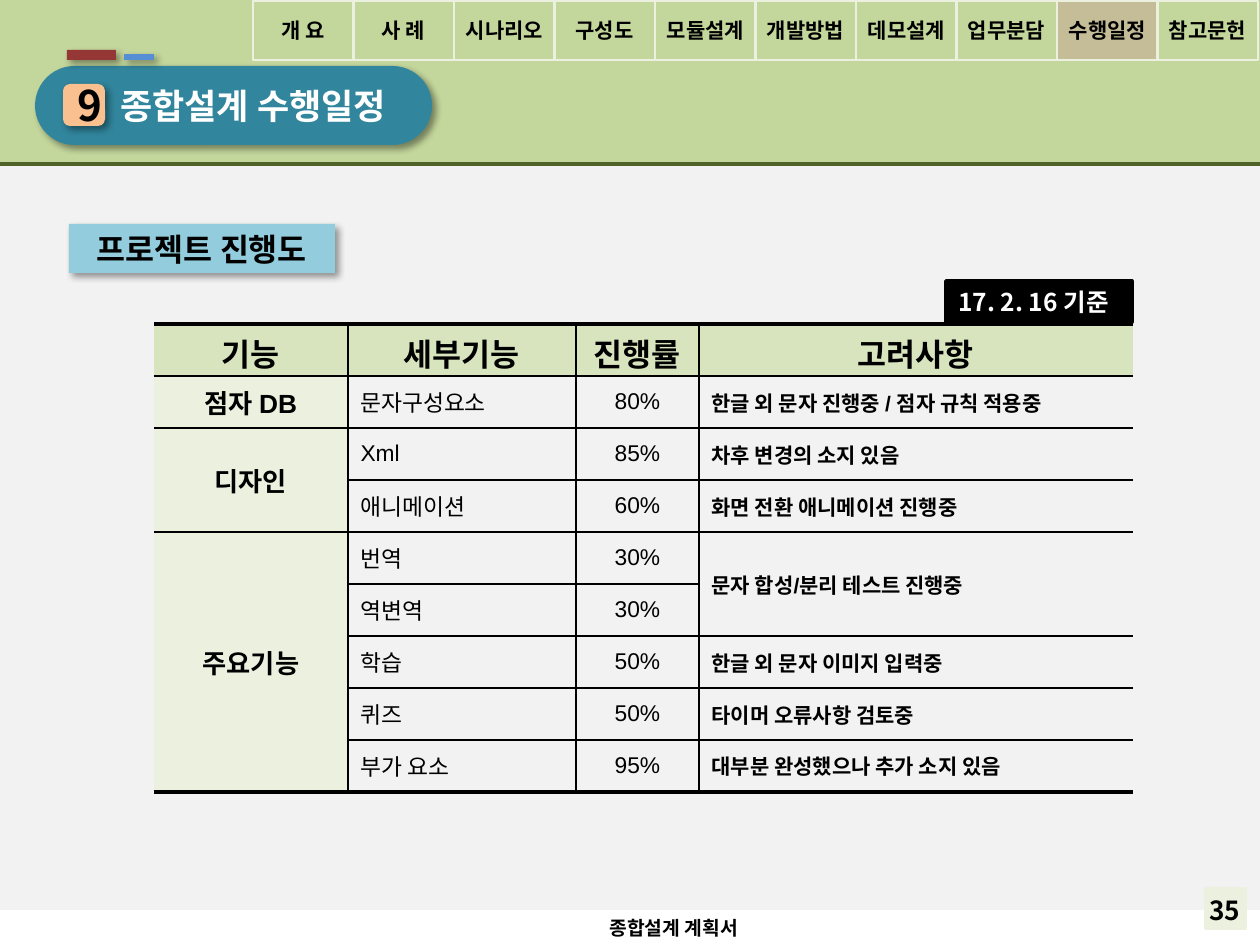
"""Builds the project schedule slide with its progress table."""
from lxml import etree
from pptx import Presentation, util as u
from pptx.dml import color
from pptx.enum import shapes, text
from pptx.oxml import ns

COLORS = {
    "black": "000000", "white": "FFFFFF", "panel": "F2F2F2", "pale": "EBF1DE",
    "green": "C3D69B", "dark_green": "4F6228", "head": "D7E4BD", "sky": "93CDDD",
    "tan": "C4BD97", "teal": "31859C", "peach": "FAC090", "red": "953735", "blue": "558ED5",
}
NOTO, ARIAL = "Noto Sans CJK KR", "Arial"
LEFT, CENTER = text.PP_ALIGN.LEFT, text.PP_ALIGN.CENTER
MIDDLE, TOP = text.MSO_ANCHOR.MIDDLE, text.MSO_ANCHOR.TOP
RECT, ROUND = shapes.MSO_SHAPE.RECTANGLE, shapes.MSO_SHAPE.ROUNDED_RECTANGLE

TABS = ["개 요", "사 례", "시나리오", "구성도", "모듈설계", "개발방법", "데모설계",
        "업무분담", "수행일정", "참고문헌"]
ROWS = [
    ["기능", "세부기능", "진행률", "고려사항"],
    ["점자 DB", "문자구성요소", "80%", "한글 외 문자 진행중 / 점자 규칙 적용중"],
    ["디자인", "Xml", "85%", "차후 변경의 소지 있음"],
    [None, "애니메이션", "60%", "화면 전환 애니메이션 진행중"],
    ["주요기능", "번역", "30%", "문자 합성/분리 테스트 진행중"],
    [None, "역변역", "30%", None],
    [None, "학습", "50%", "한글 외 문자 이미지 입력중"],
    [None, "퀴즈", "50%", "타이머 오류사항 검토중"],
    [None, "부가 요소", "95%", "대부분 완성했으나 추가 소지 있음"],
]
MERGES = [((2, 0), (3, 0)), ((4, 0), (8, 0)), ((4, 3), (5, 3))]
HEAD_STYLE = {"size": 18, "bold": True, "align": CENTER, "fill": "head"}
COL_STYLES = [
    {"size": 15, "bold": True, "align": CENTER, "fill": "pale"},
    {"size": 13, "bold": False, "align": LEFT, "fill": None},
    {"size": 13, "bold": False, "align": CENTER, "fill": None},
    {"size": 12, "bold": True, "align": LEFT, "fill": None},
]


def px(n):
    return u.Emu(round(n * 914400 / 126))


def rgb(name):
    return color.RGBColor.from_string(COLORS[name])


def add(parent, tag, **attrs):
    return etree.SubElement(parent, ns.qn(tag), {k: str(v) for k, v in attrs.items()})


class Deck:
    """Holds the presentation, its text style and the current slide."""

    def __init__(self, width, height):
        self.prs = Presentation()
        self.prs.slide_width, self.prs.slide_height = px(width), px(height)
        self.s = self.prs.slides.add_slide(self.prs.slide_layouts[6])

    def paint(self, fill, name):
        if name:
            fill.solid()
            fill.fore_color.rgb = rgb(name)
        else:
            fill.background()

    def put_words(self, tf, words, size, ink="black", font=NOTO, bold=True, align=LEFT):
        p = tf.paragraphs[0]
        p.alignment = align
        r = p.add_run()
        r.text = words
        for key, value in {"size": u.Pt(size), "bold": bold, "name": font}.items():
            setattr(r.font, key, value)
        r.font.color.rgb = rgb(ink)
        if font == NOTO:
            add(r._r.get_or_add_rPr(), "a:ea", typeface=font)

    def box(self, x, y, w, h, fill=None, line=None, kind=RECT, shadow=False, adj=None):
        sp = self.s.shapes.add_shape(kind, px(x), px(y), px(w), px(h))
        self.paint(sp.fill, fill)
        self.paint(sp.line.fill, line and line[0])
        if line:
            sp.line.width = u.Pt(line[1])
        if adj:
            sp.adjustments[0] = adj
        sp.shadow.inherit = False
        if shadow:
            effects = sp._element.spPr.find(ns.qn("a:effectLst"))
            shade = add(effects, "a:outerShdw", blurRad=u.Pt(4), dist=u.Pt(3),
                        dir=45 * 60000, algn="tl", rotWithShape=0)
            add(add(shade, "a:srgbClr", val=COLORS["black"]), "a:alpha", val=40000)
        return sp

    def label(self, sp, words, size, frame=None, **style):
        layout = {"vertical_anchor": MIDDLE, "word_wrap": True, **(frame or {})}
        for key, value in layout.items():
            setattr(sp.text_frame, key, value)
        self.put_words(sp.text_frame, words, size, **{"align": CENTER, **style})

    def text(self, x, y, w, h, words, size, **style):
        sp = self.s.shapes.add_textbox(px(x), px(y), px(w), px(h))
        self.label(sp, words, size, {"vertical_anchor": TOP, "word_wrap": False},
                   align=LEFT, **style)

    def rule(self, x1, y1, x2, y2, ink, width):
        line = self.s.shapes.add_connector(
            shapes.MSO_CONNECTOR.STRAIGHT, px(x1), px(y1), px(x2), px(y2))
        line.line.color.rgb = rgb(ink)
        line.line.width = u.Pt(width)
        add(line._element.spPr, "a:effectLst")

    def borders(self, cell, widths):
        tcPr = cell._tc.get_or_add_tcPr()
        for i, (side, width) in enumerate(widths.items()):
            ln = etree.Element(ns.qn(f"a:ln{side}"), {"w": str(u.Pt(width))})
            if width:
                add(add(ln, "a:solidFill"), "a:srgbClr", val=COLORS["black"])
            else:
                add(ln, "a:noFill")
            tcPr.insert(i, ln)

    def table(self, x, y, widths, row_height, rows, merges):
        n, m = len(rows), len(widths)
        tbl = self.s.shapes.add_table(
            n, m, px(x), px(y), px(sum(widths)), px(row_height * n)).table
        tbl.first_row = tbl.horz_banding = False
        for col, width in zip(tbl.columns, widths):
            col.width = px(width)
        for row in tbl.rows:
            row.height = px(row_height)
        for start, end in merges:
            tbl.cell(*start).merge(tbl.cell(*end))
        for i, row in enumerate(rows):
            for j, words in enumerate(row):
                if words is None:
                    continue
                cell = tbl.cell(i, j)
                style = dict(COL_STYLES[j] if i else HEAD_STYLE)
                self.paint(cell.fill, style.pop("fill"))
                cell.vertical_anchor = MIDDLE
                self.put_words(cell.text_frame, words, font=ARIAL, **style)
                bottom = i + (cell.span_height if cell.is_merge_origin else 1)
                self.borders(cell, {"L": 1 if j else 0, "R": 1 if j < m - 1 else 0,
                                    "T": 1 if i else 2.25, "B": 1 if bottom < n else 2.25})


def main():
    d = Deck(1260, 945)
    d.box(0, 166, 1260, 744, "panel")
    d.box(1206, 889, 39, 39, "pale", ("pale", 2))
    d.text(1197, 888, 57, 44, "35", 15)
    d.box(0, 0, 1260, 165, "green")
    d.rule(0, 164, 1260, 164, "dark_green", 2.25)
    d.text(597, 910, 169, 36, "종합설계 계획서", 11, font=ARIAL)

    heading = d.box(69, 224, 266, 49, "sky", shadow=True)
    d.label(heading, "프로젝트 진행도", 18)
    date = d.box(946, 281, 186, 41, "black", ("black", 2))
    d.label(date, "17. 2. 16 기준", 14, {"vertical_anchor": TOP, "word_wrap": False},
            ink="white", align=LEFT)

    for i, name in enumerate(TABS):
        tab = d.box(253 + i * 201 // 2, 1, 101, 59,
                    "tan" if name == "수행일정" else None, ("pale", 1.5))
        d.label(tab, name, 12, {"margin_left": 0, "margin_right": 0})

    title = d.box(35, 66, 397, 79, "teal", kind=ROUND, shadow=True, adj=0.5)
    d.label(title, "종합설계 수행일정", 20, {"margin_left": px(52)}, ink="white")
    number = d.box(63, 84, 42, 42, "peach", kind=ROUND, shadow=True)
    d.label(number, "9", 24)
    d.box(67, 50, 49, 10, "red", shadow=True)
    d.box(124, 54, 30, 6, "blue", shadow=True)

    d.table(154, 324, [194, 228, 123, 434], 52, ROWS, MERGES)
    d.prs.save("out.pptx")


if __name__ == "__main__":
    main()
